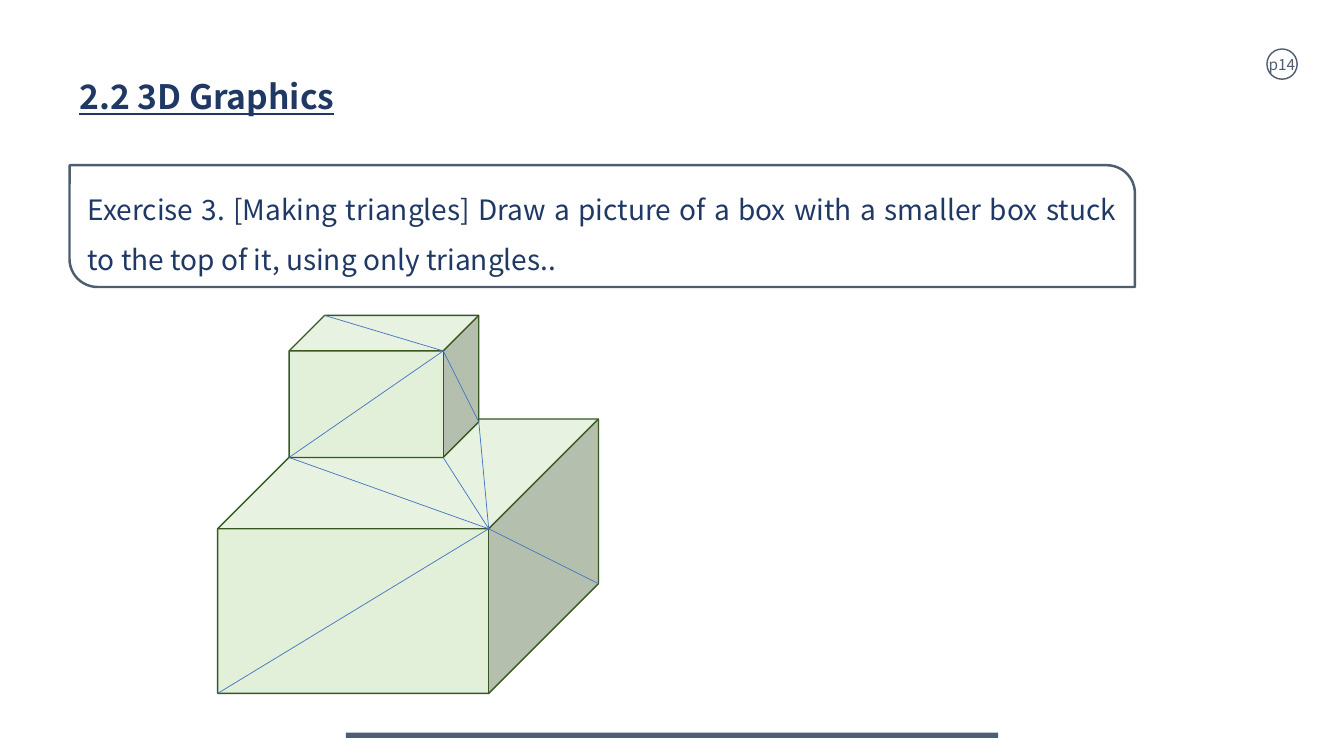
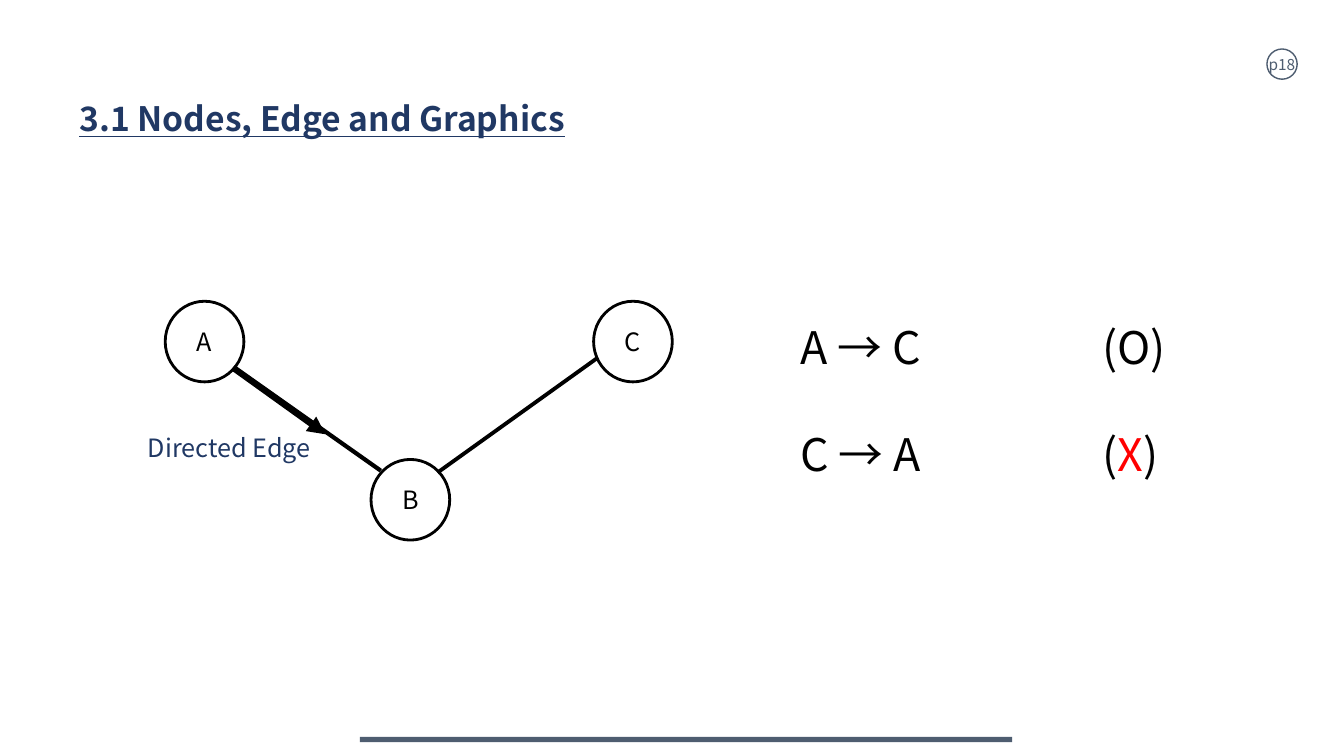
from lxml.etree import SubElement
from pptx import Presentation
from pptx.dml.color import RGBColor
from pptx.enum.shapes import MSO_CONNECTOR, MSO_SHAPE
from pptx.enum.text import MSO_ANCHOR, PP_ALIGN
from pptx.oxml.ns import qn
from pptx.util import Pt

FONT = "Noto Sans CJK KR"
NAVY = RGBColor(0x20, 0x38, 0x64)
SLATE = RGBColor(0x4E, 0x5D, 0x70)
WHITE = RGBColor(0xFF, 0xFF, 0xFF)
BLACK = RGBColor(0x00, 0x00, 0x00)
RED = RGBColor(0xFF, 0x00, 0x00)
BLUE = RGBColor(0x44, 0x72, 0xC4)
PALE_GREEN = RGBColor(0xE2, 0xF0, 0xD9)
DARK_GREEN = RGBColor(0x38, 0x57, 0x23)


def style_run(r, size, color):
    """Set the font, size and colour of a run."""
    r.font.name, r.font.size = FONT, Pt(size)
    r.font.color.rgb = color
    SubElement(r._r.get_or_add_rPr(), qn("a:ea")).set("typeface", FONT)


def write(sp, text, size, color, align=PP_ALIGN.LEFT, spacing=None):
    """Write one styled paragraph into a shape and return its run."""
    tf = sp.text_frame
    tf.text = text
    tf.word_wrap = True
    p = tf.paragraphs[0]
    p.alignment, p.line_spacing = align, spacing
    style_run(p.runs[0], size, color)
    return p.runs[0]


def add_shape(shapes, kind, x, y, w, h, fill, line=None, weight=1.0):
    """Add a flat preset shape with vertically centred text."""
    sp = shapes.add_shape(kind, Pt(x), Pt(y), Pt(w), Pt(h))
    sp.shadow.inherit = False
    sp.fill.solid()
    sp.fill.fore_color.rgb = fill
    if line is None:
        sp.line.fill.background()
    else:
        sp.line.color.rgb, sp.line.width = line, Pt(weight)
    sp.text_frame.vertical_anchor = MSO_ANCHOR.MIDDLE
    return sp


def add_line(shapes, start, end, color, weight, arrow=False):
    """Add a straight line between two points, with an optional arrowhead."""
    sp = shapes.add_connector(MSO_CONNECTOR.STRAIGHT, *map(Pt, start + end))
    sp.line.color.rgb, sp.line.width = color, Pt(weight)
    if arrow:
        SubElement(sp.line._get_or_add_ln(), qn("a:tailEnd")).set("type", "triangle")
    SubElement(sp._element.spPr, qn("a:effectLst"))


def add_textbox(s, x, y, w, h):
    """Add an empty text box."""
    return s.shapes.add_textbox(Pt(x), Pt(y), Pt(w), Pt(h))


def add_page(prs, title, title_y, page, bar_x, bar_y):
    """Add a slide with its title, page badge and bottom bar."""
    s = prs.slides.add_slide(prs.slide_layouts[6])
    add_shape(s.shapes, MSO_SHAPE.RECTANGLE, bar_x, bar_y, 466, 3.8, SLATE)
    r = write(add_textbox(s, 49.7, title_y, 411, 45), title, 24, NAVY, spacing=1.5)
    r.font.bold = r.font.underline = True
    badge = add_shape(s.shapes, MSO_SHAPE.OVAL, 905, 35, 21.6, 21.6, WHITE, SLATE)
    write(badge, page, 11, SLATE, PP_ALIGN.CENTER)
    badge.text_frame.word_wrap = False
    return s


def add_exercise(s, x, y, w, h, text):
    """Add the exercise frame with two rounded corners."""
    sp = add_shape(s.shapes, MSO_SHAPE.ROUND_2_DIAG_RECTANGLE,
                   x, y, w, h, WHITE, SLATE, 1.75)
    sp.adjustments[0], sp.adjustments[1] = 0, 0.23
    write(sp, text, 20, NAVY, PP_ALIGN.JUSTIFY, 1.5)


def add_cube(shapes, x, y, w, h, ratio):
    """Add a cube and return its corners by face and position."""
    sp = add_shape(shapes, MSO_SHAPE.CUBE, x, y, w, h, PALE_GREEN, DARK_GREEN)
    sp.adjustments[0] = ratio
    depth = ratio * min(w, h)
    right, bottom = x + w, y + h
    return {
        "back top left": (x + depth, y),
        "back bottom right": (right, bottom - depth),
        "front top right": (right - depth, y + depth),
        "front bottom left": (x, bottom),
        "front bottom right": (right - depth, bottom),
    }


def add_stacked_boxes(s, x, y):
    """Draw a small box on a large one, with faces split into triangles."""
    shapes = s.shapes.add_group_shape().shapes
    large = add_cube(shapes, x, y + 74, 272, 196, 0.4)
    small = add_cube(shapes, x + 51, y, 135.5, 101.5, 0.25)
    for cube in (small, large):
        for corner in ("front bottom left", "back bottom right"):
            add_line(shapes, cube[corner], cube["front top right"], BLUE, 0.5)
    add_line(shapes, small["back top left"], small["front top right"], BLUE, 0.5)
    for corner in ("front bottom left", "front bottom right", "back bottom right"):
        add_line(shapes, small[corner], large["front top right"], BLUE, 0.5)


def add_graph(s, x, y):
    """Draw nodes A, B and C with their edges and the edge label."""
    shapes = s.shapes.add_group_shape().shapes
    for name, dx, dy in (("A", 0, 0), ("B", 147, 113), ("C", 306, 0)):
        node = add_shape(shapes, MSO_SHAPE.OVAL, x + dx, y + dy, 56.2, 57.6,
                         WHITE, BLACK, 2)
        write(node, name, 18, BLACK, PP_ALIGN.CENTER)
    edges = (
        ((49.8, 47.5), (154, 121), 3, False),
        ((48.3, 47.5), (114.5, 95), 4.25, True),
        ((194.5, 122.4), (309, 40.3), 2.75, False),
    )
    for (x1, y1), (x2, y2), weight, arrow in edges:
        add_line(shapes, (x + x1, y + y1), (x + x2, y + y2), BLACK, weight, arrow)
    write(add_textbox(s, x - 19.4, y + 90, 145, 29), "Directed Edge", 18, NAVY)


def add_answers(s, x, y, w, h):
    """List the possible routes with their verdicts at a tab stop."""
    tf = add_textbox(s, x, y, w, h).text_frame
    tf.word_wrap = True
    for i, (route, verdict, color) in enumerate(
            (("A → C", "O", BLACK), ("C → A", "X", RED))):
        p = tf.add_paragraph() if i else tf.paragraphs[0]
        if i:
            p.space_before = Pt(38.5)
        tabs = SubElement(p._p.get_or_add_pPr(), qn("a:tabLst"))
        tab = SubElement(tabs, qn("a:tab"))
        tab.set("pos", str(Pt(216)))
        tab.set("algn", "l")
        for text, ink in ((route + "\t(", BLACK), (verdict, color), (")", BLACK)):
            r = p.add_run()
            r.text = text
            style_run(r, 32, ink)


def main():
    """Build both slides and save the presentation."""
    prs = Presentation()
    prs.slide_width, prs.slide_height = Pt(960), Pt(540)
    s = add_page(prs, "2.2 3D Graphics", 36, "p14", 247, 523.3)
    add_exercise(s, 49.7, 118, 761, 87,
                 "Exercise 3. [Making triangles] Draw a picture of a box with a "
                 "smaller box stuck to the top of it, using only triangles..")
    add_stacked_boxes(s, 155.5, 225.3)
    s = add_page(prs, "3.1 Nodes, Edge and Graphics", 52, "p18", 257, 526.3)
    add_graph(s, 118, 215.2)
    add_answers(s, 564.5, 224.6, 304.5, 124)
    prs.save("out.pptx")


if __name__ == "__main__":
    main()
